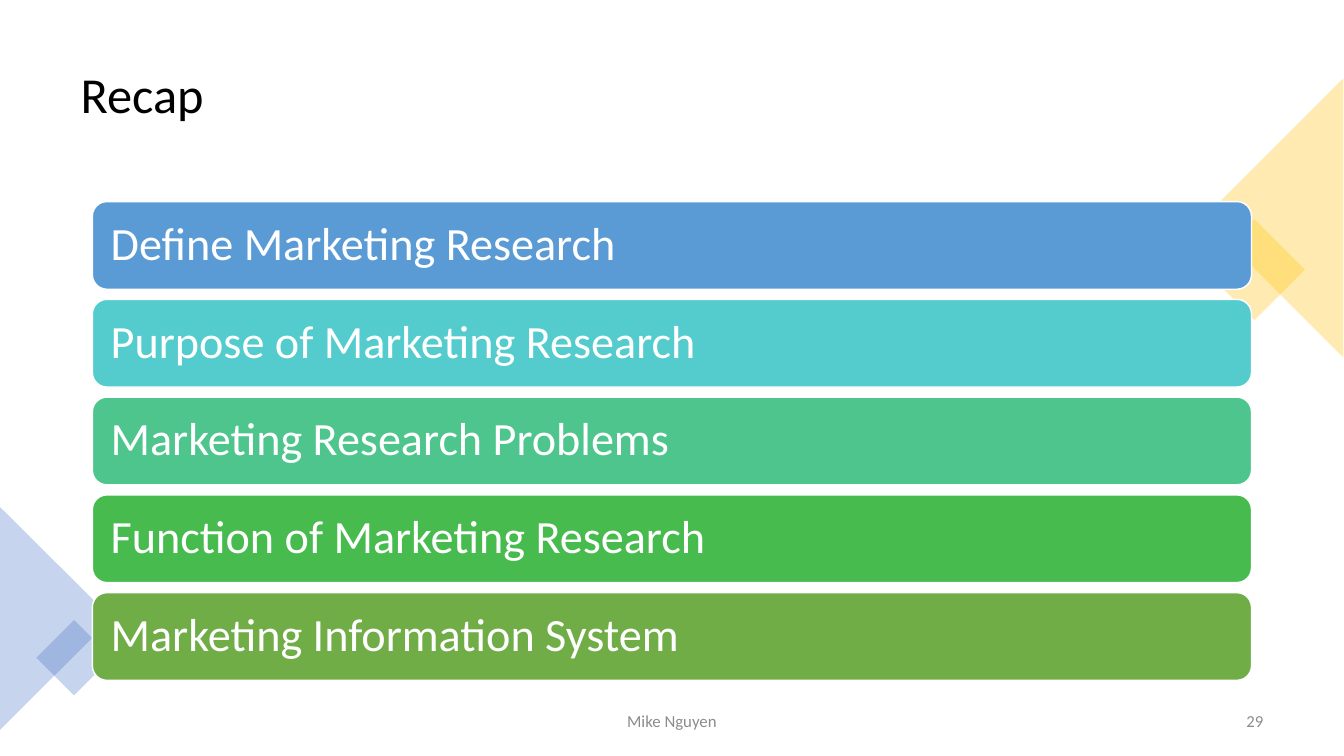
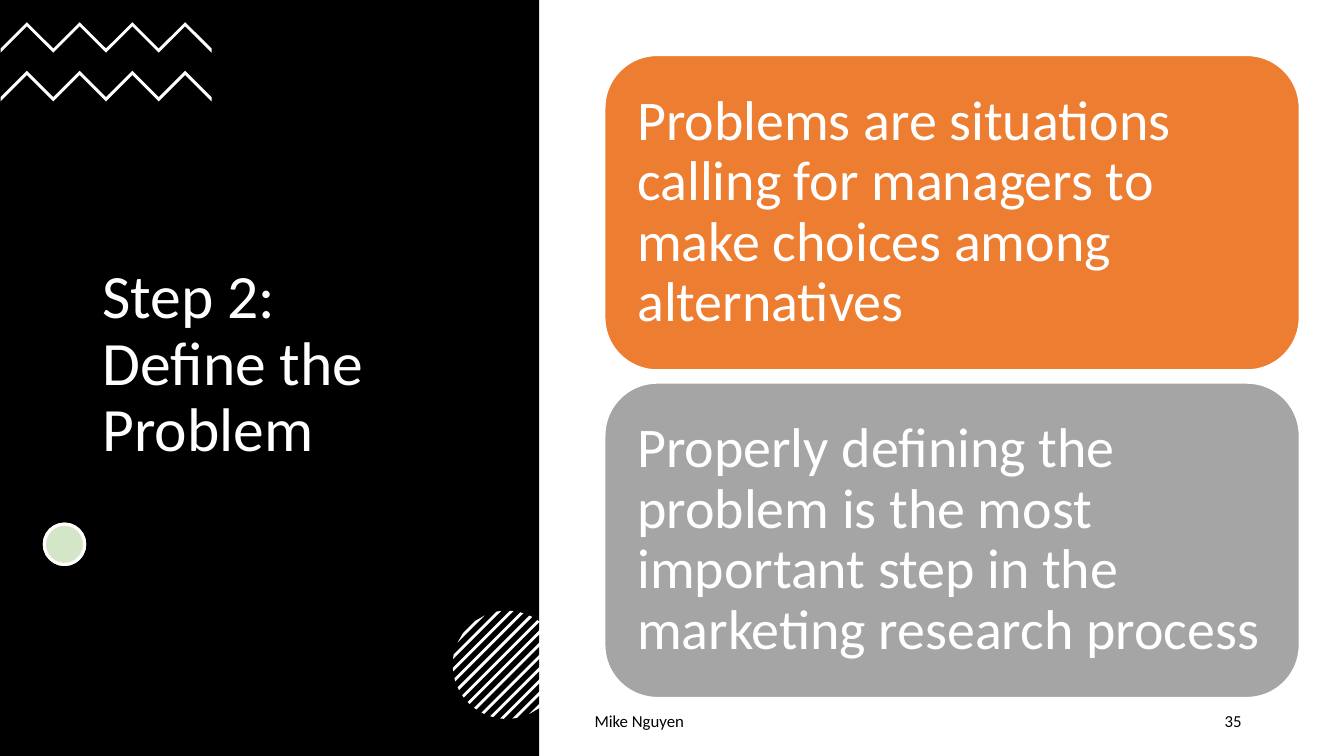
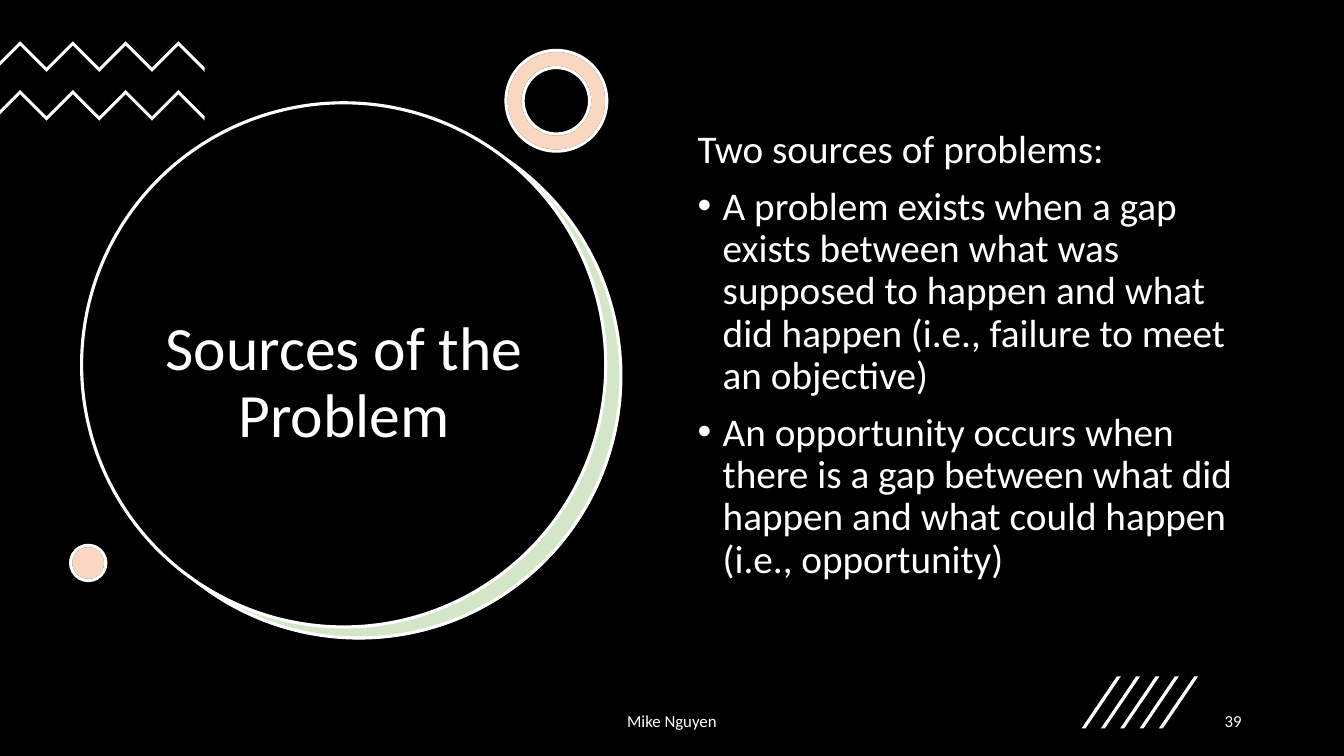
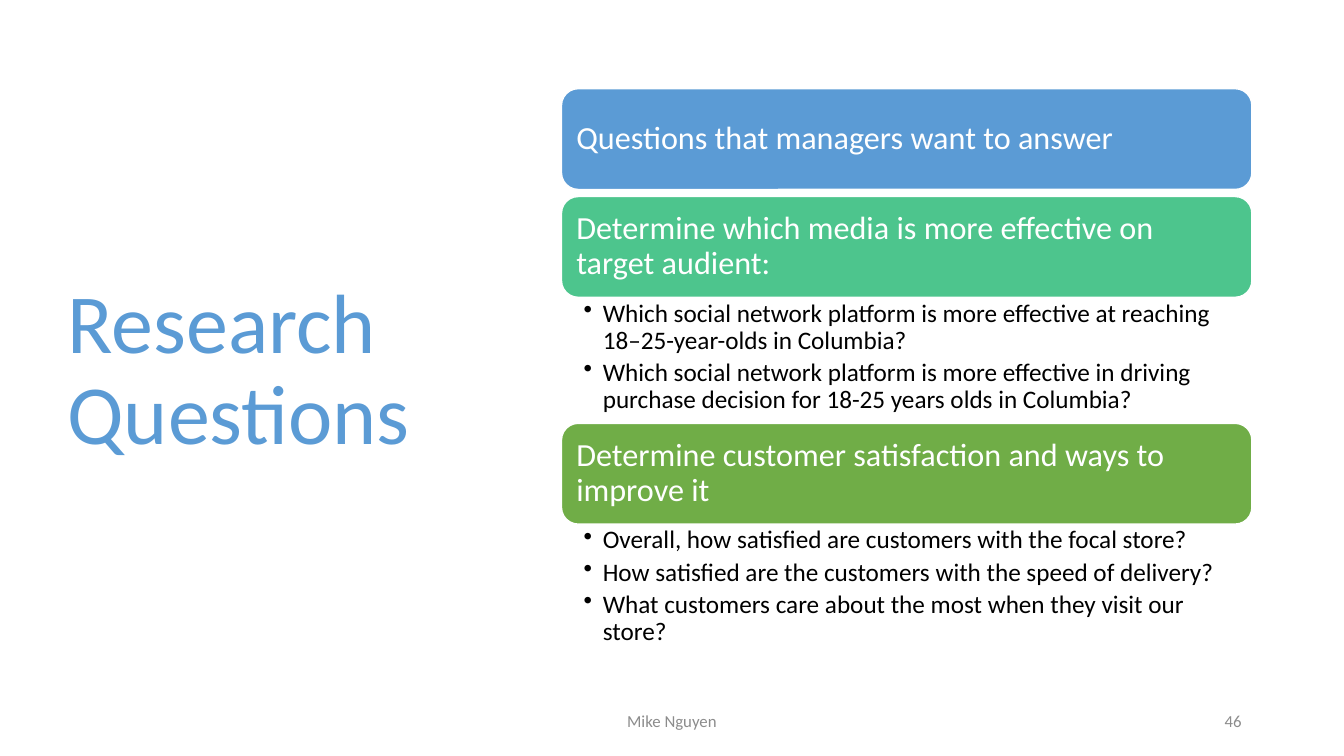
from math import acos, cos, pi, sin, sqrt

from lxml import etree
from pptx import Presentation
from pptx import util as u
from pptx.dml.color import RGBColor
from pptx.enum import shapes, text
from pptx.oxml import ns

# Shared look
COLORS = {
    "black": "000000", "white": "FFFFFF", "muted": "8C8C8C",
    "blue": "5B9BD5", "teal": "54CCCD", "mint": "4DC58D",
    "leaf": "48BB4F", "green": "70AD47", "orange": "ED7D31",
    "gray": "A5A5A5", "gold": "FFC000", "indigo": "4472C4",
}
FONT = "Calibri"
AUTHOR = "Mike Nguyen"
TITLE_ONLY, TITLE_AND_BODY = 5, 1
TINT = 30  # opacity of the pale decorations, in percent
LEFT, CENTER, RIGHT = text.PP_ALIGN.LEFT, text.PP_ALIGN.CENTER, text.PP_ALIGN.RIGHT
TOP, MIDDLE = text.MSO_ANCHOR.TOP, text.MSO_ANCHOR.MIDDLE
KIND = shapes.MSO_SHAPE

# The slide is a grid of 80 columns by 45 rows of square cells
COLUMNS, ROWS = 80, 45
HEIGHT = u.Inches(7.5)
CELL = HEIGHT / ROWS


def cells(*lengths):
    return [u.Emu(round(length * CELL)) for length in lengths]


def rgb(name):
    return RGBColor.from_string(COLORS[name])


# Text
def set_bullet(paragraph, indent):
    """Hang a bullet by `indent` inches; no indent means no bullet."""
    props = paragraph._p.get_or_add_pPr()
    props.set("marL", str(u.Inches(indent)))
    props.set("indent", str(-u.Inches(indent)))
    if indent:
        etree.SubElement(props, ns.qn("a:buChar")).set("char", "•")
    else:
        etree.SubElement(props, ns.qn("a:buNone"))


def write(frame, lines, size, color, align=LEFT, anchor=MIDDLE, inset=None,
          indents=None, before=0, after=0, spacing=0.9):
    frame.word_wrap = True
    frame.auto_size = text.MSO_AUTO_SIZE.NONE
    frame.vertical_anchor = anchor
    left, top, right, bottom = inset or (0.1, 0.05, 0.1, 0.05)
    frame.margin_left, frame.margin_right = u.Inches(left), u.Inches(right)
    frame.margin_top, frame.margin_bottom = u.Inches(top), u.Inches(bottom)
    for i, line in enumerate(lines):
        paragraph = frame.add_paragraph() if i else frame.paragraphs[0]
        paragraph.text = line
        if indents:
            set_bullet(paragraph, indents[i])
        paragraph.alignment = align
        paragraph.line_spacing = spacing
        paragraph.space_before = u.Pt(before if i else 0)
        paragraph.space_after = u.Pt(after)
        paragraph.font.size = u.Pt(size)
        paragraph.font.name = FONT
        paragraph.font.color.rgb = rgb(color)


def add_text(slide, box, lines, size, color, **style):
    write(slide.shapes.add_textbox(*cells(*box)).text_frame, lines, size, color, **style)


def move(placeholder, box):
    placeholder.left, placeholder.top, placeholder.width, placeholder.height = cells(*box)


def set_title(slide, box, title, size, color, align=LEFT):
    """Place the title in front of whatever has been drawn so far."""
    holder = slide.shapes.title
    move(holder, box)
    write(holder.text_frame, [title], size, color, align=align)
    slide.shapes._spTree.append(holder._element)


def add_footer(slide, number, color, left=26.5, width=27, align=CENTER, right=74.5):
    top, height, number_width = 41.7, 2.4, 18
    add_text(slide, (left, top, width, height), [AUTHOR], 12, color,
             align=align, spacing=1)
    add_text(slide, (right - number_width, top, number_width, height), [str(number)],
             12, color, align=RIGHT, spacing=1)


# Shapes
def paint(shape, fill, line=None, weight=2.25, opacity=100):
    shape.shadow.inherit = False
    shape.fill.solid()
    shape.fill.fore_color.rgb = rgb(fill)
    if opacity < 100:
        solid = shape._element.spPr.find(ns.qn("a:solidFill"))
        etree.SubElement(solid[0], ns.qn("a:alpha")).set("val", str(opacity * 1000))
    if line:
        shape.line.color.rgb = rgb(line)
        shape.line.width = u.Pt(weight)
    else:
        shape.line.fill.background()


def add_shape(slide, kind, box, fill, turn=0, adjust=None, **look):
    shape = slide.shapes.add_shape(kind, *cells(*box))
    shape.rotation = turn
    if adjust is not None:
        shape.adjustments[0] = adjust
    paint(shape, fill, **look)
    return shape


def add_polygon(slide, points, fill):
    start, *rest = [cells(*point) for point in points]
    builder = slide.shapes.build_freeform(*start)
    builder.add_line_segments(rest, close=True)
    paint(builder.convert_to_shape(), fill)


def add_tinted(slide, kind, box, tint, rim, adjust=None):
    """A pale tint over a white base."""
    add_shape(slide, kind, box, "white", adjust=adjust, line=rim)
    add_shape(slide, kind, box, tint, adjust=adjust, line="white", opacity=TINT)


def add_card(slide, box, label, fill, size, inset):
    card = add_shape(slide, KIND.ROUNDED_RECTANGLE, box, fill, line="white", weight=1)
    write(card.text_frame, [label], size, "white", inset=(inset,) * 4)


def add_card_stack(slide, box, cards, gap, size, inset):
    left, top, width, height = box
    card_height = (height - gap * (len(cards) - 1)) / len(cards)
    for i, (label, fill) in enumerate(cards):
        card_top = top + i * (card_height + gap)
        add_card(slide, (left, card_top, width, card_height), label, fill, size, inset)


# Decorations
def add_zigzags(slide, first_peak, top):
    """Two white zigzags that run in from the left edge."""
    tooth, thickness, pitch = 1.57, 0.25, 2.9
    start = max(0, first_peak - tooth)
    for crest in (top, top + pitch):
        upper = [(start, crest + first_peak - start)]
        upper += [(first_peak + i * tooth, crest + i % 2 * tooth) for i in range(8)]
        lower = [(x, y + thickness) for x, y in reversed(upper)]
        add_polygon(slide, upper + lower, "white")


def add_striped_disc(slide, center_x, center_y, radius):
    """Diagonal stripes, each cut off by the circle."""
    pitch, half_width = 0.73, 0.12

    def chord(offset):
        spread = acos(offset / (sqrt(2) * radius))
        return [(center_x + radius * cos(pi / 4 + side * spread),
                 center_y + radius * sin(pi / 4 + side * spread)) for side in (-1, 1)]

    for k in range(-6, 7):
        near, far = chord(k * pitch - half_width), chord(k * pitch + half_width)
        add_polygon(slide, near + far[::-1], "white")


def add_slashes(slide, left, top):
    for i in range(5):
        add_shape(slide, KIND.PARALLELOGRAM, (left + i * 1.15, top, 2.34, 3.1),
                  "white", adjust=0.9)


def add_edge_diamonds(slide):
    for kind, box, fill, turn in (
        (KIND.RECTANGLE, (72.54, 13.92, 4.26, 4.26), "gold", 45),
        (KIND.ISOSCELES_TRIANGLE, (67.5, 8.82, 16.62, 8.31), "gold", 270),
        (KIND.ISOSCELES_TRIANGLE, (-3.3, 33.48, 13.26, 6.66), "indigo", 90),
        (KIND.RECTANGLE, (2.82, 37.56, 3.18, 3.18), "indigo", 45),
    ):
        add_shape(slide, kind, box, fill, turn=turn, opacity=TINT)


# Slides
def build_recap(slide):
    set_title(slide, (4.2, 2.1, 71.6, 7.4), "Recap", 36, "black")
    add_edge_diamonds(slide)
    add_footer(slide, 29, "muted", right=75.8)
    topics = [
        ("Define Marketing Research", "blue"),
        ("Purpose of Marketing Research", "teal"),
        ("Marketing Research Problems", "mint"),
        ("Function of Marketing Research", "leaf"),
        ("Marketing Information System", "green"),
    ]
    add_card_stack(slide, (5.5, 12, 69, 28.5), topics, gap=0.6, size=33, inset=0.14)


def build_define_problem(slide):
    add_shape(slide, KIND.RECTANGLE, (0, 0, 32.1, ROWS), "black")
    set_title(slide, (5.5, 7.86, 21, 27.78), "Step 2: Define the Problem", 44, "white")
    add_zigzags(slide, first_peak=1.6, top=1.32)
    add_tinted(slide, KIND.OVAL, (2.64, 31.2, 2.4, 2.4), "green", rim="white")
    add_striped_disc(slide, 30.17, 39.57, 3.22)
    add_footer(slide, 35, "black", left=34.8, width=28.9, align=LEFT)
    statements = [
        ("Problems are situations calling for managers to make choices among "
         "alternatives", "orange"),
        ("Properly defining the problem is the most important step in the "
         "marketing research process", "gray"),
    ]
    add_card_stack(slide, (36, 3.3, 41.34, 38.22), statements, gap=0.78, size=40, inset=0.17)


def build_problem_sources(slide):
    slide.background.fill.solid()
    slide.background.fill.fore_color.rgb = rgb("black")

    # Crescent behind the title
    disc = 31.2
    add_shape(slide, KIND.OVAL, (5.82, 6.84, disc, disc), "white")
    add_shape(slide, KIND.OVAL, (5.76, 6.78, disc, disc), "green", line="white", opacity=TINT)
    add_shape(slide, KIND.OVAL, (4.86, 6.12, disc, disc), "black", line="white")
    set_title(slide, (7.26, 12.3, 26.46, 21.12), "Sources of the Problem", 44, "white", CENTER)

    add_zigzags(slide, first_peak=1.2, top=2.46)
    add_tinted(slide, KIND.DONUT, (30.12, 3, 6, 6), "orange", rim="black", adjust=0.17)
    add_tinted(slide, KIND.OVAL, (4.2, 32.46, 2.1, 2.1), "orange", rim="black")

    sources = slide.placeholders[1]
    move(sources, (40.92, 7.44, 34.26, 28.56))
    write(sources.text_frame, [
        "Two sources of problems:",
        "A problem exists when a gap exists between what was supposed to happen and "
        "what did happen (i.e., failure to meet an objective)",
        "An opportunity occurs when there is a gap between what did happen and what "
        "could happen (i.e., opportunity)",
    ], 28, "white", anchor=TOP, indents=(0, 0.25, 0.25), before=10)
    add_footer(slide, 39, "white")
    add_slashes(slide, 64.38, 40.26)


def build_research_questions(slide):
    set_title(slide, (3.42, 4.08, 24.96, 36.12), "Research Questions", 60, "blue")
    add_footer(slide, 46, "muted")
    left, top, width, card_height, gap = 33.42, 5.28, 41.1, 6, 0.42
    sections = [
        ("Questions that managers want to answer", "blue", gap, []),
        ("Determine which media is more effective on target audient:", "mint", 7.5, [
            "Which social network platform is more effective at reaching "
            "18–25-year-olds in Columbia?",
            "Which social network platform is more effective in driving purchase "
            "decision for 18-25 years olds in Columbia?",
        ]),
        ("Determine customer satisfaction and ways to improve it", "green", 7.8, [
            "Overall, how satisfied are customers with the focal store?",
            "How satisfied are the customers with the speed of delivery?",
            "What customers care about the most when they visit our store?",
        ]),
    ]
    for heading, fill, detail_height, questions in sections:
        add_card(slide, (left, top, width, card_height), heading, fill, 23, 0.1)
        top += card_height
        if questions:
            add_text(slide, (left, top, width, detail_height), questions, 18, "black",
                     anchor=TOP, inset=(0.22, 0.03, 0.18, 0.03),
                     indents=[0.19] * len(questions), after=3.6)
        top += detail_height


def main():
    deck = Presentation()
    deck.slide_width, deck.slide_height = cells(COLUMNS, ROWS)
    for build, layout in (
        (build_recap, TITLE_ONLY),
        (build_define_problem, TITLE_ONLY),
        (build_problem_sources, TITLE_AND_BODY),
        (build_research_questions, TITLE_ONLY),
    ):
        build(deck.slides.add_slide(deck.slide_layouts[layout]))
    deck.save("out.pptx")


if __name__ == "__main__":
    main()
